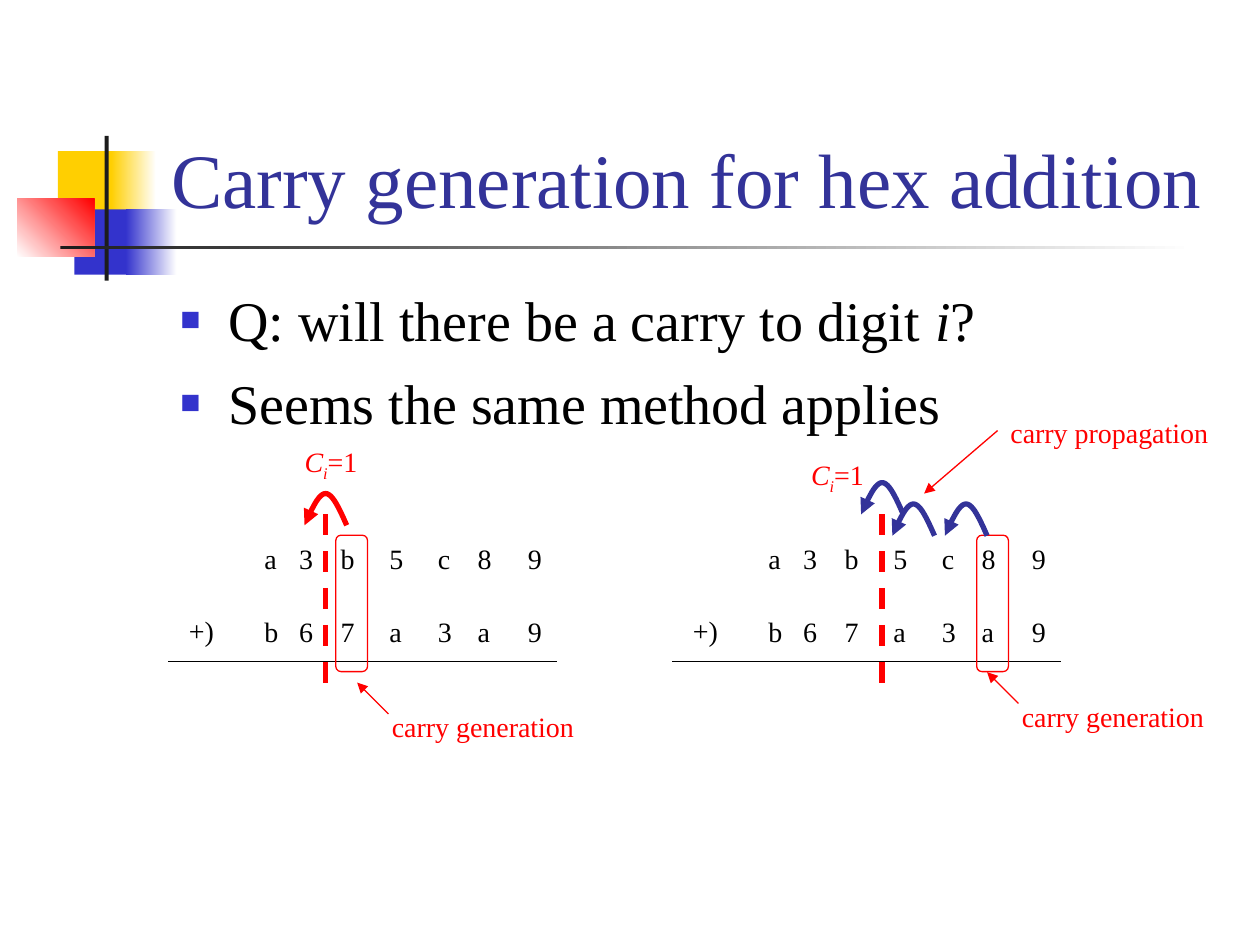
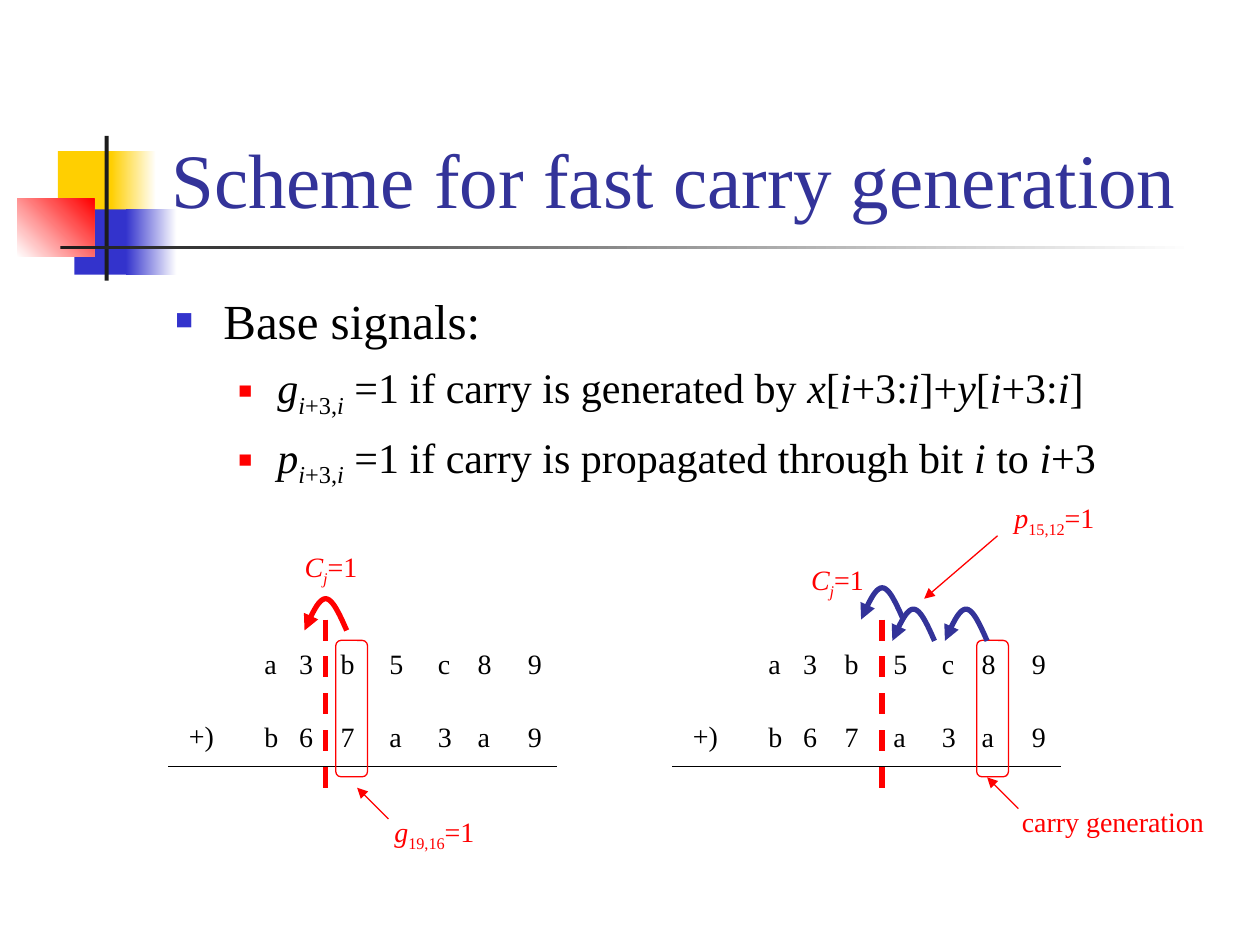
from dataclasses import dataclass
from lxml.etree import SubElement
from pptx import Presentation
from pptx.dml.color import RGBColor as Rgb
from pptx.enum.dml import MSO_LINE as Dash
from pptx.enum.shapes import MSO_CONNECTOR as Connector, MSO_SHAPE as Preset
from pptx.enum.text import MSO_ANCHOR as Anchor, MSO_AUTO_SIZE as AutoSize, PP_ALIGN as Align
from pptx.oxml.ns import qn
from pptx.util import Cm, Pt


@dataclass(frozen=True)
class Theme:
    font: str = "Times New Roman"
    title: str = "333399"
    text: str = "000000"
    accent: str = "FF0000"
    blue: str = "3333CC"
    yellow: str = "FFCF01"
    bar: str = "1C1C1C"
    white: str = "FFFFFF"
    title_size: int = 44
    label_size: int = 16
    thin: float = 0.75
    thick: float = 3


theme = Theme()


def write(para, markup, size, color):
    # In markup, * toggles italic and _ toggles subscript.
    for part_index, part in enumerate(markup.split("_")):
        for piece_index, piece in enumerate(part.split("*")):
            if piece:
                span = para.add_run()
                span.text = piece
                span.font.name = theme.font
                span.font.size = Pt(size)
                span.font.color.rgb = Rgb.from_string(color)
                span.font.italic = piece_index % 2 == 1
                if part_index % 2:
                    span.font._element.set("baseline", "-25000")


def outline(shape, color, width, arrow=False):
    shape.line.color.rgb = Rgb.from_string(color)
    shape.line.width = Pt(width)
    properties = shape.element.spPr
    if arrow:
        SubElement(properties.find(qn("a:ln")), qn("a:tailEnd"), type="triangle")
    SubElement(properties, qn("a:effectLst"))


decorations = [
    (1.17, 3.05, 1.22, 1.32, [theme.yellow], 0),
    (2.24, 3.05, 0.91, 1.32, [theme.yellow, theme.white], 0),
    (1.5, 4.22, 1.17, 1.32, [theme.blue], 0),
    (2.54, 4.22, 1.02, 1.32, [theme.blue, theme.white], 0),
    (0.35, 4.01, 1.55, 1.17, [theme.white, theme.accent], 45),
    (2.11, 2.74, 0.08, 2.92, [theme.bar], 0),
    (1.22, 4.95, 22.86, 0.08, [theme.bar, theme.white], 0),
]
levels = [(0.97, theme.blue, 60), (2.06, theme.accent, 55)]
hangs = [0.97, 0.79]
digit_rows = [(0.42, "a3b5c89"), (1.9, "b67a3a9")]
digit_tabs = [0.7, 1.54, 2.52, 3.5, 4.3, 5.31]
panel_lefts = [3.39, 13.55]
digit_bars = [6.56, 17.78]
digit_frames = [6.77, 19.69]
arches = [
    (6.14, -0.42, theme.accent),
    (19.05, -0.21, theme.title),
    (17.99, -0.21, theme.title),
    (17.36, -0.64, theme.title),
]
arch_width, arch_height, arch_steps = 0.85, 0.64, 24
pointers = [
    (7.83, 4.02, 7.2, 3.39),
    (20.53, 3.81, 19.9, 3.18),
    (20.11, -1.69, 18.63, -0.42),
]
pages = [
    {
        "title": "Carry generation for hex addition",
        "body": (3.38, 5.51, 21.59, 3.38),
        "points": [
            (0, 32, 9, "Q: will there be a carry to digit *i*?"),
            (0, 32, 9, "Seems the same method applies"),
        ],
        "top": 10.37,
        "labels": [
            (5.89, -1.53, "*C*_*i*_=1"),
            (16.1, -1.27, "*C*_*i*_=1"),
            (7.65, 3.81, "carry generation"),
            (20.35, 3.6, "carry generation"),
            (20.12, -2.12, "carry propagation"),
        ],
    },
    {
        "title": "Scheme for fast carry generation",
        "body": (3.28, 5.61, 21.26, 4.34),
        "points": [
            (0, 28, 7, "Base signals:"),
            (1, 24, 7, "*g*_*i*+3,*i*_ =1 if carry is generated by *x*[*i*+3:*i*]+*y*[*i*+3:*i*]"),
            (1, 24, 7, "*p*_*i*+3,*i*_ =1 if carry is propagated through bit *i* to *i*+3"),
        ],
        "top": 12.49,
        "labels": [
            (5.89, -1.53, "*C*_*j*_=1"),
            (16.1, -1.27, "*C*_*j*_=1"),
            (7.7, 3.81, "*g*_19,16_=1"),
            (20.35, 3.6, "carry generation"),
            (20.2, -2.52, "*p*_15,12_=1"),
        ],
    },
]

deck = Presentation()
deck.slide_width, deck.slide_height = Cm(25.4), Cm(19.05)

for content in pages:
    page = deck.slides.add_slide(deck.slide_layouts[1])
    shapes = page.shapes
    title, body = shapes.title, page.placeholders[1]
    top = content["top"]

    for left, upper, width, height, colors, angle in decorations:
        block = shapes.add_shape(Preset.RECTANGLE, Cm(left), Cm(upper), Cm(width), Cm(height))
        block.shadow.inherit = False
        block.line.fill.background()
        if len(colors) == 1:
            block.fill.solid()
            block.fill.fore_color.rgb = Rgb.from_string(colors[0])
        else:
            block.fill.gradient()
            block.fill.gradient_angle = angle
            for stop, color in zip(block.fill.gradient_stops, colors):
                stop.color.rgb = Rgb.from_string(color)

    for holder, place in ((title, (3.2, 0.58, 21.64, 4.06)), (body, content["body"])):
        shapes.element.append(holder.element)
        holder.left, holder.top, holder.width, holder.height = map(Cm, place)
        holder.text_frame.auto_size = AutoSize.NONE
    title.text_frame.vertical_anchor = Anchor.BOTTOM
    title.text_frame.paragraphs[0].alignment = Align.LEFT
    write(title.text_frame.paragraphs[0], content["title"], theme.title_size, theme.title)

    body.text_frame.margin_top = Cm(0.25)
    for index, (level, size, space, markup) in enumerate(content["points"]):
        para = body.text_frame.add_paragraph() if index else body.text_frame.paragraphs[0]
        para.level = level
        indent, color, scale = levels[level]
        properties = para._p.get_or_add_pPr()
        properties.set("marL", str(Cm(indent)))
        properties.set("indent", str(-Cm(hangs[level])))
        bullet_color = SubElement(properties, qn("a:buClr"))
        SubElement(bullet_color, qn("a:srgbClr"), val=color)
        SubElement(properties, qn("a:buSzPct"), val=str(scale * 1000))
        SubElement(properties, qn("a:buFont"), typeface=theme.font)
        SubElement(properties, qn("a:buChar"), char="■")
        para.space_before = Pt(space if index else 0)
        write(para, markup, size, theme.text)

    texts = [(left, offset, 4.7, markup, theme.accent) for left, offset, markup in content["labels"]]
    for panel_left in panel_lefts:
        texts.append((panel_left + 0.17, 1.87, 1.1, "+)", theme.text))
        for offset, digits in digit_rows:
            texts.append((panel_left + 1.69, offset, 6.4, "\t".join(digits), theme.text))
    for left, offset, width, markup, color in texts:
        box = shapes.add_textbox(Cm(left), Cm(top + offset), Cm(width), Cm(0.94))
        box.text_frame.word_wrap = True
        para = box.text_frame.paragraphs[0]
        if "\t" in markup:
            tab_list = SubElement(para._p.get_or_add_pPr(), qn("a:tabLst"))
            for position in digit_tabs:
                SubElement(tab_list, qn("a:tab"), pos=str(Cm(position)), algn="l")
        write(para, markup, theme.label_size, color)

    lines = [(left, 2.96, left + 7.84, 2.96, theme.text, theme.thin, False) for left in panel_lefts]
    lines += [(left, 0, left, 3.6, theme.accent, theme.thick, False) for left in digit_bars]
    lines += [(*pointer, theme.accent, theme.thin, True) for pointer in pointers]
    for start_x, start_y, end_x, end_y, color, width, arrow in lines:
        line = shapes.add_connector(
            Connector.STRAIGHT, Cm(start_x), Cm(top + start_y), Cm(end_x), Cm(top + end_y)
        )
        outline(line, color, width, arrow)
        if width == theme.thick:
            line.line.dash_style = Dash.DASH

    for left in digit_frames:
        frame = shapes.add_shape(
            Preset.ROUNDED_RECTANGLE, Cm(left), Cm(top + 0.42), Cm(0.64), Cm(2.75)
        )
        frame.fill.background()
        outline(frame, theme.accent, theme.thin)

    for left, offset, color in arches:
        points = []
        for step in range(arch_steps + 1):
            side = abs(1 - 2 * step / arch_steps)
            drop = 1.5 * side**2 - 0.5 * side**3
            points.append((
                Cm(left + arch_width * (1 - step / arch_steps)),
                Cm(top + offset + arch_height * drop),
            ))
        builder = shapes.build_freeform(*points[0])
        builder.add_line_segments(points[1:], close=False)
        arch = builder.convert_to_shape()
        arch.fill.background()
        outline(arch, color, theme.thick, arrow=True)

deck.save("out.pptx")
